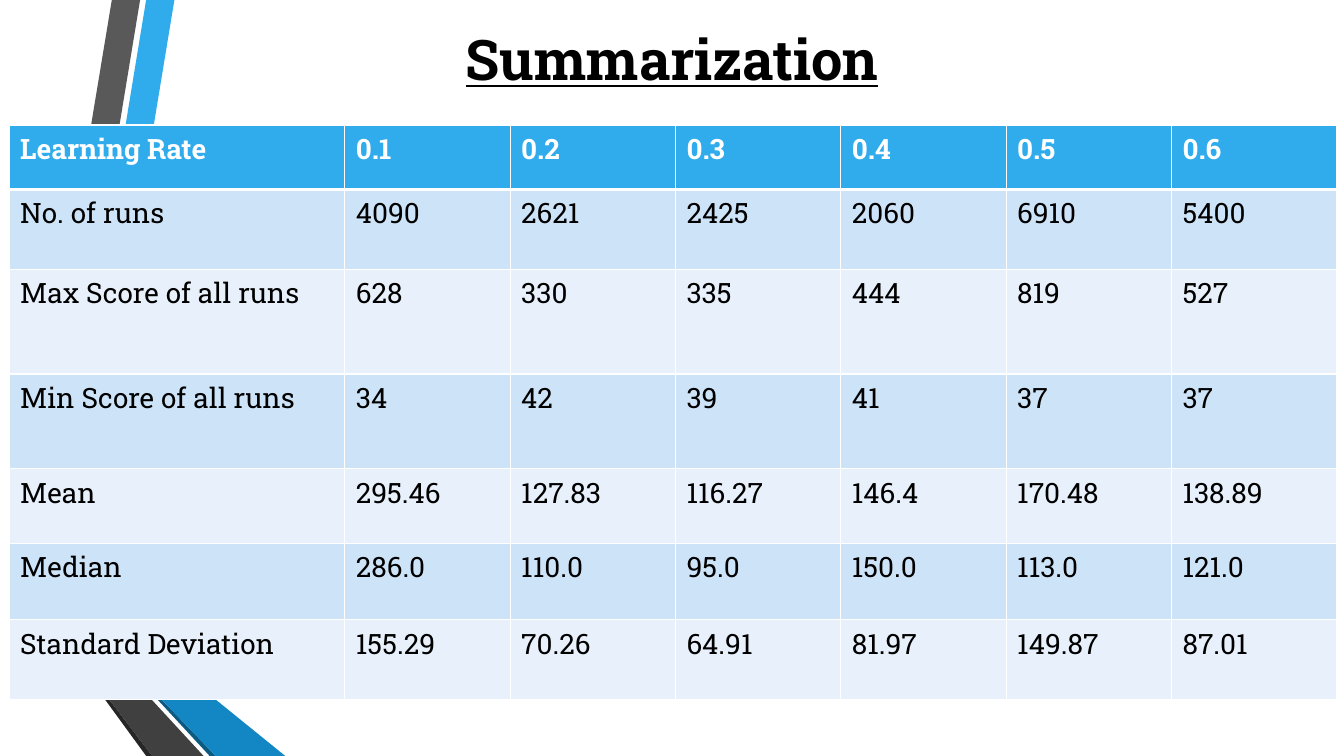
from dataclasses import dataclass

from lxml.etree import SubElement
from pptx import Presentation
from pptx.dml.color import RGBColor
from pptx.enum.text import MSO_ANCHOR as Anchor, PP_ALIGN as Align
from pptx.oxml.ns import qn
from pptx.slide import Slide
from pptx.table import _Cell as Cell
from pptx.text.text import _Paragraph as Paragraph
from pptx.util import Inches, Pt

COLORS = {
    "black": "000000",
    "white": "FFFFFF",
    "blue": "30ACEC",
    "mid_blue": "1287C3",
    "deep_blue": "0C5A82",
    "gray": "595959",
    "dark_gray": "404040",
    "charcoal": "262626",
    "band_dark": "CDE3F8",
    "band_light": "E8F1FB",
}
TITLE_FORMAT = {"name": "Roboto Slab", "size": Pt(40), "bold": True, "underline": True}
HEADER_FORMAT = {"name": "Roboto Slab", "size": Pt(20), "bold": True}
BODY_FORMAT = {**HEADER_FORMAT, "bold": False}
CELL_MARGINS = {
    "margin_left": Inches(0.11),
    "margin_right": Inches(0.11),
    "margin_top": Inches(0.05),
    "margin_bottom": Inches(0.05),
}
COLUMN_WIDTHS = [3.33] + [1.64] * 6


@dataclass
class Ribbon:
    color: str
    outline: list[tuple[float, float]]


@dataclass
class Measure:
    label: str
    values: list[str]
    height: float


RIBBONS = [
    Ribbon("blue", [(0.5, 5.78), (0.77, 5.83), (1.73, 0), (1.45, 0)]),
    Ribbon("gray", [(1.39, 0), (1.11, 0), (0.16, 5.73), (0.44, 5.77)]),
    Ribbon("charcoal", [(0.16, 5.73), (1.45, 7.5), (1.51, 7.5)]),
    Ribbon("deep_blue", [(0.5, 5.79), (2.08, 7.5), (2.14, 7.5)]),
    Ribbon("mid_blue", [(0.5, 5.79), (2.14, 7.5), (2.83, 7.5), (0.77, 5.83), (0.5, 5.78)]),
    Ribbon("dark_gray", [(2.02, 7.5), (0.48, 5.83), (0.43, 5.77), (0.16, 5.73), (1.51, 7.5)]),
]
MEASURES = [
    Measure("Learning Rate", ["0.1", "0.2", "0.3", "0.4", "0.5", "0.6"], 0.64),
    Measure("No. of runs", ["4090", "2621", "2425", "2060", "6910", "5400"], 0.79),
    Measure("Max Score of all runs", ["628", "330", "335", "444", "819", "527"], 1.04),
    Measure("Min Score of all runs", ["34", "42", "39", "41", "37", "37"], 0.94),
    Measure("Mean", ["295.46", "127.83", "116.27", "146.4", "170.48", "138.89"], 0.74),
    Measure("Median", ["286.0", "110.0", "95.0", "150.0", "113.0", "121.0"], 0.76),
    Measure("Standard Deviation", ["155.29", "70.26", "64.91", "81.97", "149.87", "87.01"], 0.79),
]


def rgb(color: str) -> RGBColor:
    return RGBColor.from_string(COLORS[color])


def write(paragraph: Paragraph, text: str, font_format: dict, color: str) -> None:
    run = paragraph.add_run()
    run.text = text
    for attribute, value in font_format.items():
        setattr(run.font, attribute, value)
    run.font.color.rgb = rgb(color)


def draw_ribbon(slide: Slide, ribbon: Ribbon) -> None:
    start, *corners = [(Inches(x), Inches(y)) for x, y in ribbon.outline]
    builder = slide.shapes.build_freeform(*start)
    builder.add_line_segments(corners, close=True)
    band = builder.convert_to_shape()
    band.shadow.inherit = False
    band.fill.solid()
    band.fill.fore_color.rgb = rgb(ribbon.color)
    band.line.fill.background()


def draw_title(slide: Slide, text: str) -> None:
    title = slide.shapes.add_textbox(Inches(1.34), Inches(-0.18), Inches(10.65), Inches(1.51))
    frame = title.text_frame
    frame.word_wrap = True
    frame.vertical_anchor = Anchor.MIDDLE
    heading = frame.paragraphs[0]
    heading.alignment = Align.CENTER
    write(heading, text, TITLE_FORMAT, "black")


def set_borders(cell: Cell, row: int) -> None:
    """Draw thin white borders, with a thick one under the header row."""
    properties = cell._tc.get_or_add_tcPr()
    widths = {"lnL": 1, "lnR": 1, "lnT": 3 if row == 1 else 1, "lnB": 3 if row == 0 else 1}
    for position, (side, width) in enumerate(widths.items()):
        border = SubElement(properties, qn(f"a:{side}"), w=str(Pt(width)))
        fill = SubElement(border, qn("a:solidFill"))
        SubElement(fill, qn("a:srgbClr"), val=COLORS["white"])
        properties.insert(position, border)


def fill_cell(cell: Cell, text: str, row: int) -> None:
    is_header = row == 0
    for attribute, margin in CELL_MARGINS.items():
        setattr(cell, attribute, margin)
    cell.fill.solid()
    band = "band_dark" if row % 2 else "band_light"
    cell.fill.fore_color.rgb = rgb("blue" if is_header else band)
    set_borders(cell, row)
    font_format = HEADER_FORMAT if is_header else BODY_FORMAT
    write(cell.text_frame.paragraphs[0], text, font_format, "white" if is_header else "black")


def draw_results(slide: Slide, measures: list[Measure]) -> None:
    results = slide.shapes.add_table(
        len(measures), len(COLUMN_WIDTHS), Inches(0.09), Inches(1.24),
        Inches(sum(COLUMN_WIDTHS)), Inches(sum(measure.height for measure in measures)),
    ).table
    for column, width in zip(results.columns, COLUMN_WIDTHS):
        column.width = Inches(width)
    for row, measure in enumerate(measures):
        results.rows[row].height = Inches(measure.height)
        for column, text in enumerate([measure.label, *measure.values]):
            fill_cell(results.cell(row, column), text, row)


def main() -> None:
    presentation = Presentation()
    presentation.slide_width = Inches(13.33)
    presentation.slide_height = Inches(7.5)
    slide = presentation.slides.add_slide(presentation.slide_layouts[6])
    for ribbon in RIBBONS:
        draw_ribbon(slide, ribbon)
    draw_title(slide, "Summarization")
    draw_results(slide, MEASURES)
    presentation.save("out.pptx")


if __name__ == "__main__":
    main()
